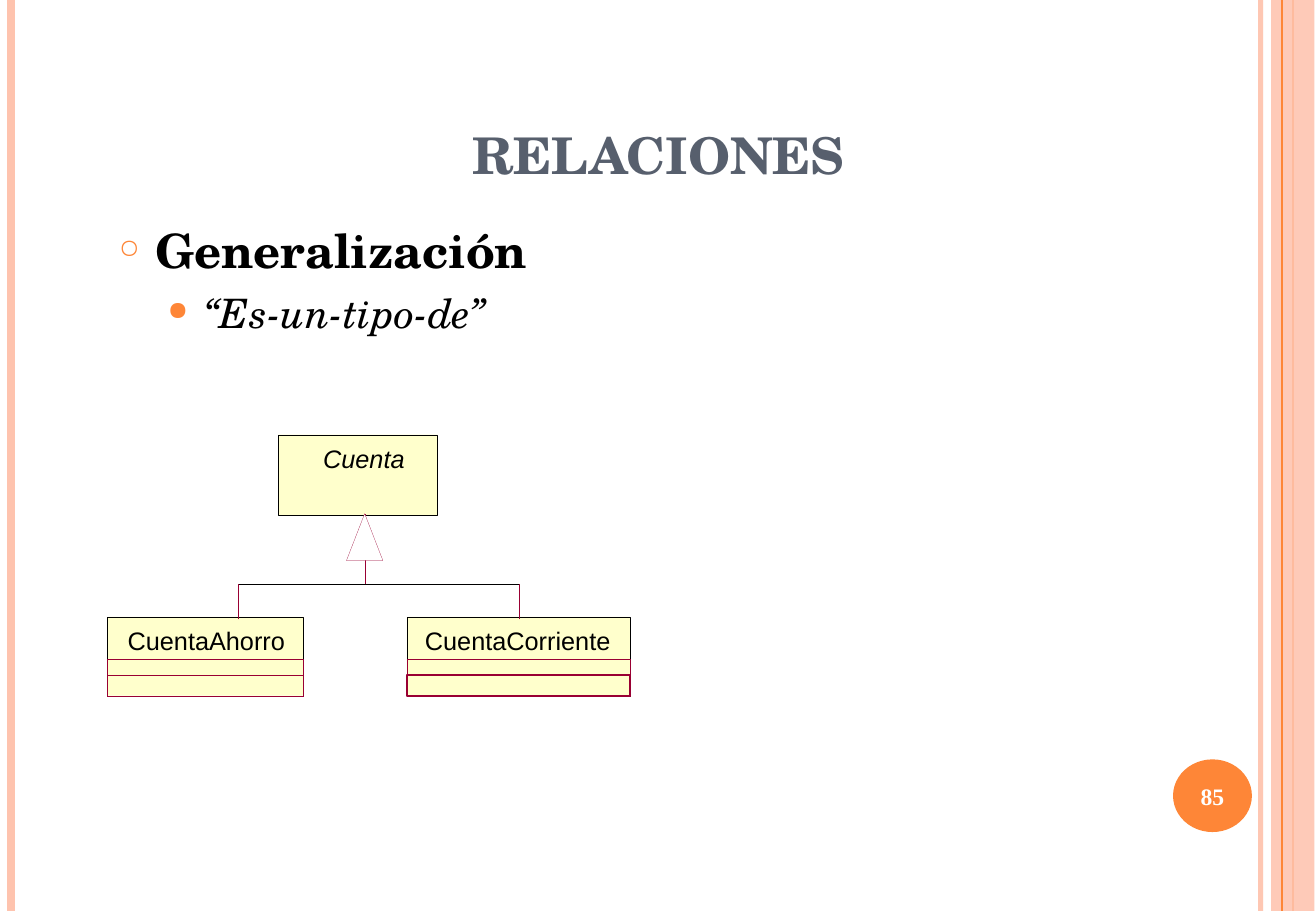
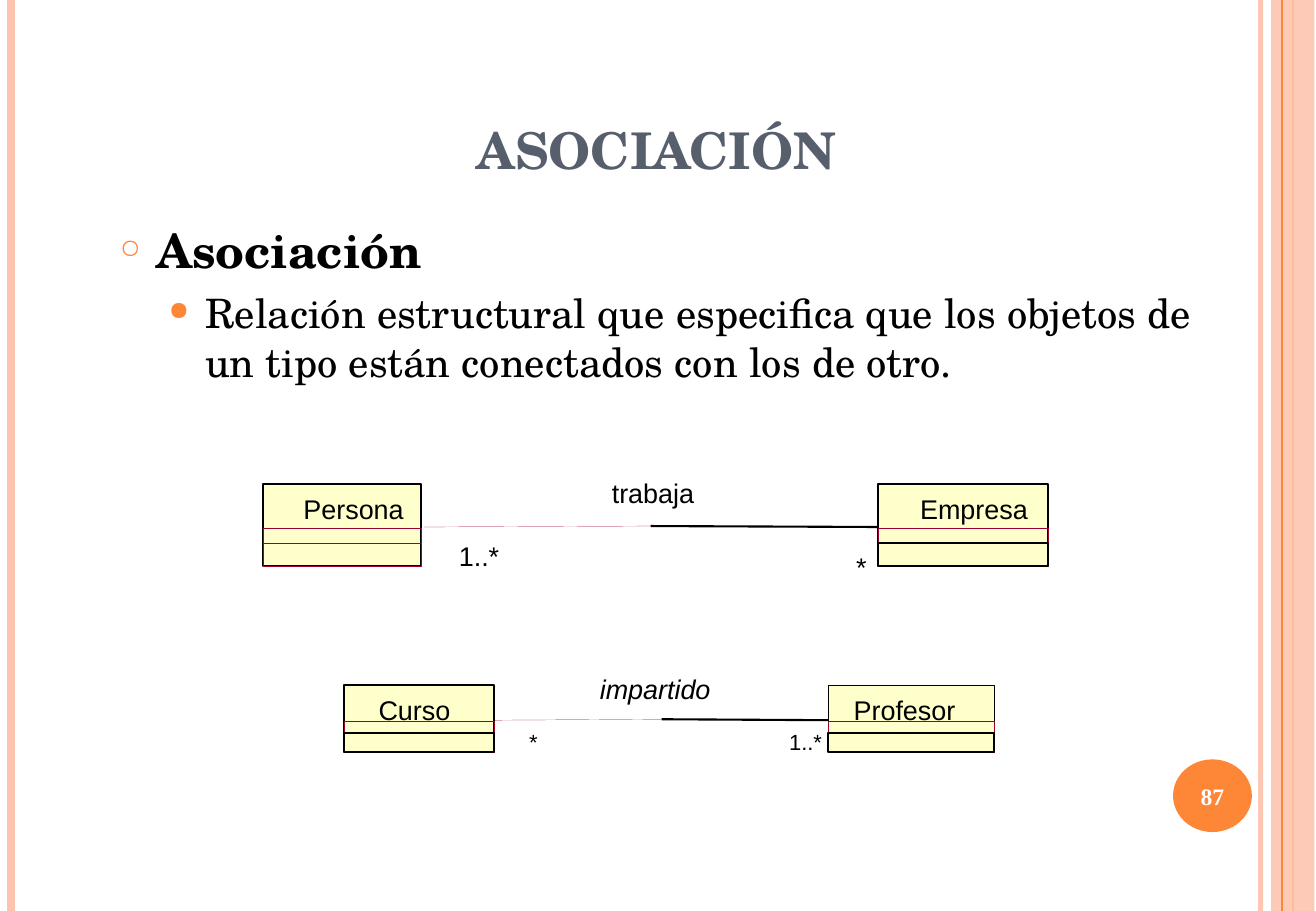
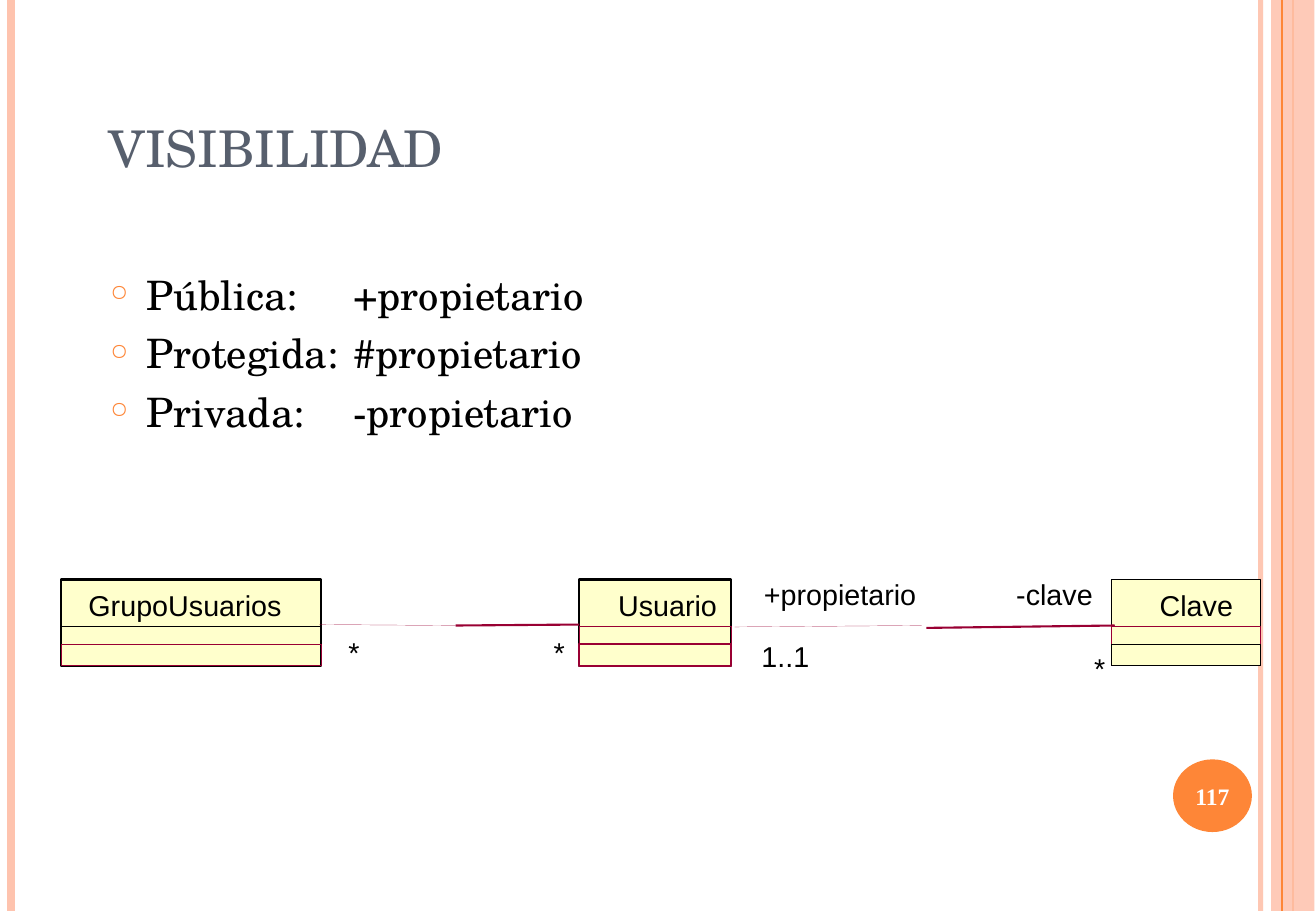
from lxml import etree
from pptx import Presentation
from pptx.dml.color import RGBColor
from pptx.enum.shapes import MSO_CONNECTOR, MSO_SHAPE
from pptx.enum.text import MSO_ANCHOR, PP_ALIGN
from pptx.oxml.ns import qn
from pptx.util import Cm, Pt

LEFT, CENTER = PP_ALIGN.LEFT, PP_ALIGN.CENTER
TOP, MIDDLE, BOTTOM = MSO_ANCHOR.TOP, MSO_ANCHOR.MIDDLE, MSO_ANCHOR.BOTTOM
RECT, OVAL, TRIANGLE = MSO_SHAPE.RECTANGLE, MSO_SHAPE.OVAL, MSO_SHAPE.ISOSCELES_TRIANGLE
STRAIGHT = MSO_CONNECTOR.STRAIGHT

COLORS = {"peach": "FEC3AE", "orange": "FE8637", "slate": "575F6D", "cream": "FFFFCC",
          "crimson": "990033", "black": "000000", "white": "FFFFFF"}
SERIF, SANS, NUMBER_FONT = "TeX Gyre Schola", "Arial", "Times New Roman"
SLIDE_W, SLIDE_H = 27.53, 19.05
TAB = 5.08
LABEL_SLACK = 0.2
HAIRLINE = 0.1

# Outlines: colour, width in points
BLACK, THICK = ("black", HAIRLINE), ("black", 1.25)
RED, RED_MEDIUM, RED_THICK = ("crimson", HAIRLINE), ("crimson", 1), ("crimson", 1.25)

# Bullet level: character, size %, left margin, hanging indent
BULLETS = [("○", 56, 0.76, 0.76), ("●", 64, 1.78, 0.76)]

# All lengths in cm.
# bullets: level, text, format
# rows of classes: top, height, tops of the two lower compartments, text size, italic, classes
# class: name, left, width, name left, name width, outlines (box, then compartments)
# lines: x1, y1, x2, y2, outline
# labels: text, left, top, width, size, italic
SLIDES = [
    {"number": "85", "title": "RELACIONES", "title_at": (2.08, 0.81),
     "title_format": {"bold": True, "align": CENTER},
     "body_at": (2.24, 4.5, 23.39, 2.74),
     "bullets": [(0, "Generalización", {"size": 28, "bold": True}),
                 (1, "“Es-un-tipo-de”", {"italic": True})],
     "rows": [
         (9.09, 1.68, (), 15, True, [("Cuenta", 5.82, 3.33, 6.76, 1.7, [BLACK])]),
         (12.9, 1.65, (0.89, 1.22), 15, False, [
             ("CuentaAhorro", 2.24, 4.11, 2.67, 3.3, [BLACK, RED, RED]),
             ("CuentaCorriente", 8.51, 4.67, 8.89, 3.89, [BLACK, RED, RED_MEDIUM])])],
     "lines": [(7.63, 12.22, 7.63, 10.74, RED), (4.98, 12.22, 10.87, 12.22, BLACK),
               (4.98, 12.95, 4.98, 12.22, RED), (10.87, 12.95, 10.87, 12.22, RED)],
     "triangle": (7.25, 10.74, 0.76, 0.98),
     "labels": []},
    {"number": "87", "title": "ASOCIACIÓN", "title_at": (2.03, 0.71),
     "title_format": {"bold": True, "align": CENTER},
     "body_at": (2.26, 4.5, 23.42, 3.76),
     "bullets": [(0, "Asociación", {"size": 28, "bold": True}),
                 (1, "Relación estructural que especifica que los objetos de un tipo "
                     "están conectados con los de otro.", {})],
     "rows": [
         (10.13, 1.7, (0.91, 1.22), 16, False, [
             ("Persona", 5.51, 3.3, 6.35, 2.11, [THICK, RED, RED]),
             ("Empresa", 18.36, 3.56, 19.25, 2.26, [THICK, RED, THICK])]),
         (14.33, 1.4, (0.76, 0.99), 16, False, [
             ("Curso", 7.19, 3.15, 7.92, 1.5, [THICK, RED, THICK]),
             ("Profesor", 17.32, 3.48, 17.86, 2.13, [BLACK, RED, THICK])])],
     "lines": [(13.61, 11, 18.36, 11.02, THICK), (13.61, 11, 8.86, 11.02, RED),
               (13.84, 15.04, 17.32, 15.06, THICK), (13.84, 15.04, 10.36, 15.06, RED)],
     "labels": [("trabaja", 12.8, 9.96, 1.73, 16, False),
                ("1..*", 9.6, 11.28, 0.84, 16, False),
                ("*", 17.91, 11.51, 0.23, 16, False),
                ("1..*", 16.51, 15.24, 0.69, 13, False),
                ("*", 11.07, 15.24, 0.18, 13, False),
                ("impartido", 12.55, 14.07, 2.31, 16, True)]},
    {"number": "117", "title": "VISIBILIDAD", "title_at": (2.03, 0.66),
     "title_format": {},
     "body_at": (2.06, 5.51, 23.67, 4.17),
     "bullets": [(0, "Pública:\t+propietario", {}),
                 (0, "Protegida:\t#propietario", {}),
                 (0, "Privada:\t-propietario", {})],
     "rows": [
         (12.12, 1.8, (0.97, 1.35), 17, False, [
             ("GrupoUsuarios", 1.27, 5.44, 1.85, 4.04, [THICK, BLACK, RED]),
             ("Usuario", 12.12, 3.18, 12.93, 2.08, [THICK, RED, RED_THICK]),
             ("Clave", 23.24, 3.12, 24.26, 1.55, [BLACK, RED, BLACK])])],
     "lines": [(9.53, 13.08, 12.12, 13.06, RED_THICK), (9.53, 13.08, 6.68, 13.06, RED),
               (19.38, 13.13, 23.32, 13.08, RED_THICK), (19.28, 13.08, 15.37, 13.11, RED)],
     "labels": [("*", 11.58, 13.28, 0.23, 17, False),
                ("*", 7.29, 13.28, 0.23, 17, False),
                ("*", 22.89, 13.61, 0.23, 17, False),
                ("-clave", 21.26, 12.07, 1.6, 17, False),
                ("+propietario", 15.98, 12.07, 3.2, 17, False),
                ("1..1", 15.93, 13.36, 1.02, 17, False)]},
]


def rgb(name):
    return RGBColor.from_string(COLORS[name])


def sub(parent, tag, **attrs):
    return etree.SubElement(parent, qn(tag), {k: str(v) for k, v in attrs.items()})


def set_alpha(element, percent):
    """Make the first solid colour under element partly transparent."""
    sub(next(element.iter(qn("a:srgbClr"))), "a:alpha", val=percent * 1000)


def add_line(s, x1, y1, x2, y2, outline):
    line = s.shapes.add_connector(STRAIGHT, Cm(x1), Cm(y1), Cm(x2), Cm(y2))
    color, width = outline
    line.line.color.rgb = rgb(color)
    line.line.width = Pt(width)
    sub(line._element.spPr, "a:effectLst")
    return line


def add_shape(s, kind, at, fill=None, outline=None):
    shape = s.shapes.add_shape(kind, *map(Cm, at))
    shape.shadow.inherit = False
    if fill:
        shape.fill.solid()
        shape.fill.fore_color.rgb = rgb(fill)
    else:
        shape.fill.background()
    if outline:
        color, width = outline
        shape.line.color.rgb = rgb(color)
        shape.line.width = Pt(width)
    else:
        shape.line.fill.background()
    return shape


def write(p, text, size=24, font=SERIF, color="black", bold=False, italic=False, align=LEFT):
    p.alignment = align
    r = p.add_run()
    r.text = text
    r.font.size, r.font.name = Pt(size), font
    r.font.bold, r.font.italic = bold, italic
    r.font.color.rgb = rgb(color)


def set_frame(tf, anchor=TOP, margins=(0, 0)):
    tf.word_wrap, tf.vertical_anchor = True, anchor
    tf.margin_left = tf.margin_right = Cm(margins[0])
    tf.margin_top = tf.margin_bottom = Cm(margins[1])
    return tf


def add_box(s, at, **frame):
    return set_frame(s.shapes.add_textbox(*map(Cm, at)).text_frame, **frame)


def add_label(s, text, x, y, w, size, italic=False):
    tf = add_box(s, (x, y, w + LABEL_SLACK, size * 0.042))
    write(tf.paragraphs[0], text, size=size, font=SANS, italic=italic)


def add_bullets(s, at, bullets):
    tf = add_box(s, at, margins=(0.25, 0.13))
    for i, (level, text, style) in enumerate(bullets):
        p = tf.add_paragraph() if i else tf.paragraphs[0]
        char, percent, margin, hanging = BULLETS[level]
        p.level = level
        pPr = p._p.get_or_add_pPr()
        pPr.set("marL", str(Cm(margin)))
        pPr.set("indent", str(-Cm(hanging)))
        sub(sub(pPr, "a:buClr"), "a:srgbClr", val=COLORS["orange"])
        sub(pPr, "a:buSzPct", val=percent * 1000)
        sub(pPr, "a:buChar", char=char)
        if "\t" in text:
            sub(sub(pPr, "a:tabLst"), "a:tab", pos=Cm(TAB), algn="l")
        if i:
            p.space_before = Pt(6)
        write(p, text, **style)


def add_decor(s, number):
    """Side bands and the numbered disc found on every slide."""
    def rule(x, color, width):
        return add_line(s, x, 0, x, SLIDE_H, (color, width))

    set_alpha(rule(26.37, "peach", 3)._element, 93)
    rule(0.23, "peach", 4.5)
    rule(27.05, "orange", 1.5)
    set_alpha(add_shape(s, RECT, (26.59, 0, 0.91, SLIDE_H), "peach")._element, 87)
    rule(26.82, "orange", 0.75)
    disc = add_shape(s, OVAL, (24.54, 15.88, 1.65, 1.52), "orange")
    tf = set_frame(disc.text_frame, anchor=MIDDLE)
    write(tf.paragraphs[0], number, size=14, font=NUMBER_FONT, color="white",
          bold=True, align=CENTER)


def add_class_row(s, top, height, splits, size, italic, classes):
    for name, x, w, name_x, name_w, outlines in classes:
        add_shape(s, RECT, (x, top, w, height), "cream", outlines[0])
        add_label(s, name, name_x, top + 0.18, name_w, size, italic)
        for split, outline in zip(splits, outlines[1:]):
            add_shape(s, RECT, (x, top + split, w, height - split), outline=outline)


def main():
    prs = Presentation()
    prs.slide_width, prs.slide_height = Cm(SLIDE_W), Cm(SLIDE_H)
    for data in SLIDES:
        s = prs.slides.add_slide(prs.slide_layouts[6])
        add_decor(s, data["number"])
        title = add_box(s, (*data["title_at"], 23.39, 3.18), anchor=BOTTOM,
                        margins=(0.25, 0.13))
        write(title.paragraphs[0], data["title"], size=30, color="slate",
              **data["title_format"])
        add_bullets(s, data["body_at"], data["bullets"])
        for row in data["rows"]:
            add_class_row(s, *row)
        for line in data["lines"]:
            add_line(s, *line)
        if "triangle" in data:
            add_shape(s, TRIANGLE, data["triangle"], "white", RED)
        for label in data["labels"]:
            add_label(s, *label)
    prs.save("out.pptx")


if __name__ == "__main__":
    main()
